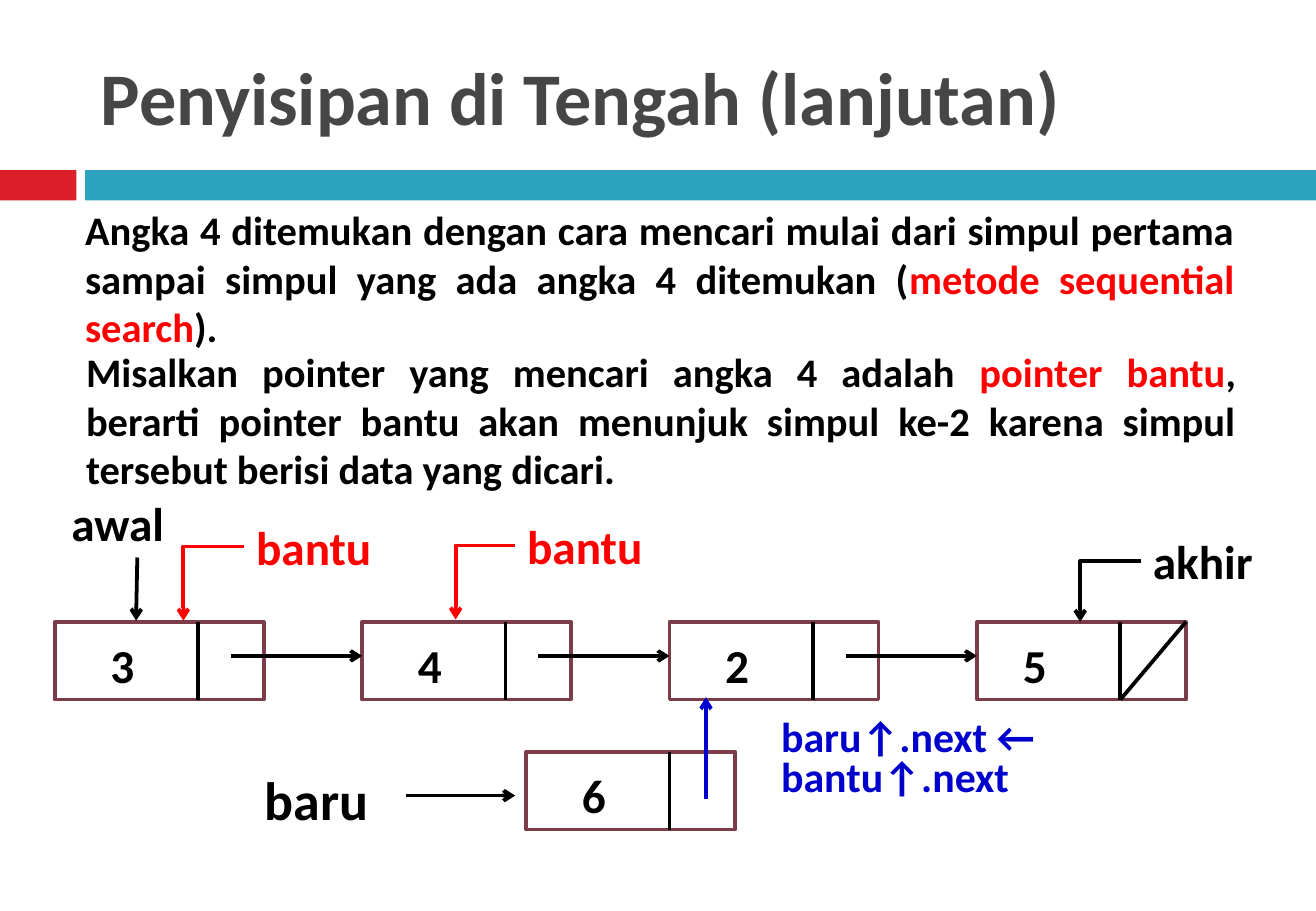
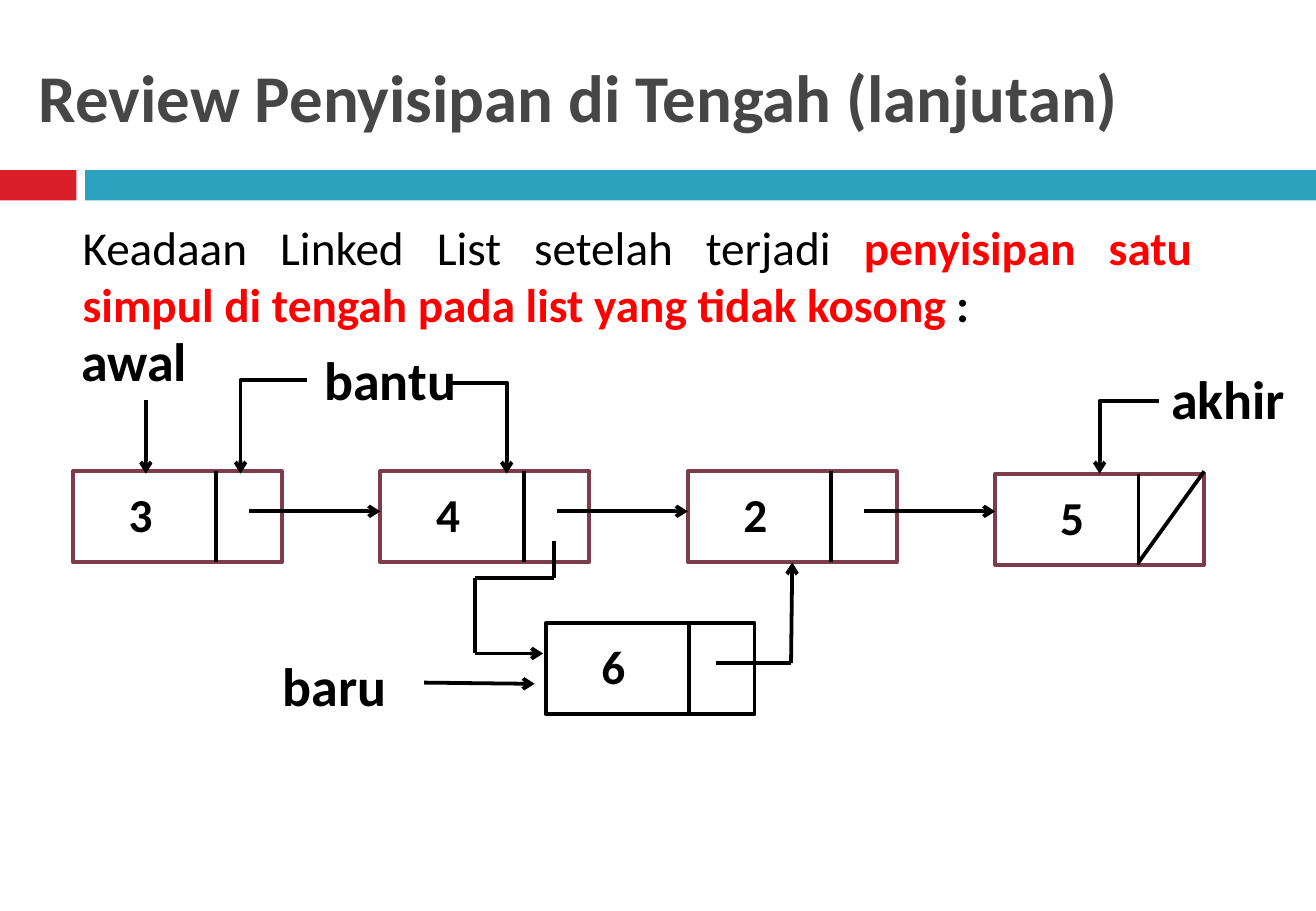
from itertools import pairwise
from pptx import Presentation, util as u
from pptx.dml.color import RGBColor
from pptx.enum import shapes, text
from pptx.oxml import parse_xml
from pptx.oxml.ns import nsdecls, qn

color = RGBColor.from_string
LEFT, RIGHT, JUSTIFY = text.PP_ALIGN.LEFT, text.PP_ALIGN.RIGHT, text.PP_ALIGN.JUSTIFY
BLACK, RED, BLUE, PLUM, GRAY = "000000", "FF0000", "0000CC", "7D3C4A", "464646"
CELL = u.Inches(1)
WIDTH, HEIGHT = 10.83, 7.5
PITCH, NODE_WIDTH, DIVIDER = 2.53, 1.72, 1.18


def write(box, place, runs, size, align=LEFT, before=0, spacing=None):
    box.left, box.top, box.width, box.height = [round(n * CELL) for n in place]
    frame = box.text_frame
    frame.word_wrap = True
    frame.auto_size = text.MSO_AUTO_SIZE.NONE
    para = frame.paragraphs[0]
    para.alignment = align
    para.space_before = u.Pt(before)
    if spacing:
        para.line_spacing = spacing
    for wording, tint, bold in runs:
        span = para.add_run()
        span.text = wording
        span.font.name = "Calibri"
        span.font.size = u.Pt(size)
        span.font.bold = bold
        span.font.color.rgb = color(tint)


def link(page, points, tint=BLACK, arrow=True, elbow=False):
    kind = shapes.MSO_CONNECTOR.ELBOW if elbow else shapes.MSO_CONNECTOR.STRAIGHT
    for start, end in pairwise(points):
        ends = [round(n * CELL) for n in (*start, *end)]
        connector = page.shapes.add_connector(kind, *ends)
        connector.line.width = u.Pt(2.25)
        connector.line.color.rgb = color(tint)
        outline = connector.element.spPr
        if elbow:
            outline.find(qn("a:prstGeom")).set("prst", "bentConnector2")
        if arrow and end == points[-1]:
            outline.find(qn("a:ln")).append(
                parse_xml(f'<a:tailEnd {nsdecls("a")} type="arrow"/>'))
        outline.append(parse_xml(f'<a:effectLst {nsdecls("a")}/>'))


lessons = [
    {
        "title": ("Penyisipan di Tengah (lanjutan)", 0.73, 44),
        "body": ((0.6, 1.64, 9.66, 1.33), 24, 7, [
            ("Angka 4 ditemukan dengan cara mencari mulai dari simpul pertama sampai "
             "simpul yang ada angka 4 ditemukan (", BLACK, True),
            ("metode sequential search", RED, True),
            (").", BLACK, True)]),
        "list": (0.45, 5.12, 0.64, 0.28),
        "last": (0.28, 0, LEFT),
        "new": (4.33, 6.19, PLUM),
        "labels": [
            ("awal", 0.49, 4.02, 28, BLACK),
            ("bantu", 2.01, 4.22, 28, RED),
            ("bantu", 4.24, 4.21, 28, RED),
            ("akhir", 9.39, 4.33, 28, BLACK),
            ("baru", 2.08, 6.26, 32, BLACK)],
        "elbows": [
            ((2.01, 4.5), (1.51, 5.11), RED),
            ((4.24, 4.49), (3.75, 5.1), RED),
            ((9.39, 4.62), (8.89, 5.12), BLACK)],
        "routes": [
            ([(1.13, 4.59), (1.12, 5.11)], BLACK),
            ([(3.34, 6.55), (4.24, 6.55)], BLACK),
            ([(5.81, 6.58), (5.81, 5.74)], BLUE)],
        "notes": [
            ((0.61, 2.81, 9.66, 1.08), [
                ("Misalkan pointer yang mencari angka 4 adalah ", BLACK, True),
                ("pointer bantu", RED, True),
                (", berarti pointer bantu akan menunjuk simpul ke-2 karena simpul "
                 "tersebut berisi data yang dicari.", BLACK, True)], 24, JUSTIFY, 7),
            ((6.33, 5.88, 4.17, 0.58), [
                ("baru↑.next ← bantu↑.next", BLUE, True)], 24.8, LEFT, 7, 0.8)],
    },
    {
        "title": ("Review Penyisipan di Tengah (lanjutan)", 0.22, 39.6),
        "body": ((0.58, 1.75, 9.33, 0.75), 28, 0, [
            ("Keadaan Linked List setelah terjadi ", BLACK, False),
            ("penyisipan satu simpul di tengah pada list yang tidak kosong ", RED, True),
            (":", BLACK, True)]),
        "list": (0.6, 3.88, 0.75, 0.33),
        "last": (0.2, 0.02, RIGHT),
        "new": (4.49, 5.13, BLACK),
        "labels": [
            ("awal", 0.57, 2.65, 32, BLACK),
            ("bantu", 2.57, 2.8, 32, BLACK),
            ("akhir", 9.54, 2.96, 32, BLACK),
            ("baru", 2.23, 5.32, 32, BLACK)],
        "elbows": [
            ((2.53, 3.13), (1.98, 3.9), BLACK),
            ((3.7, 3.15), (4.17, 3.9), BLACK),
            ((9.54, 3.3), (9.05, 3.9), BLACK)],
        "routes": [
            ([(1.2, 3.29), (1.2, 3.9)], BLACK),
            ([(3.49, 5.62), (4.4, 5.63)], BLACK),
            ([(4.56, 4.45), (4.56, 4.76), (3.91, 4.76), (3.91, 5.38), (4.47, 5.38)], BLACK),
            ([(5.89, 5.46), (6.51, 5.46), (6.52, 4.63)], BLACK)],
        "notes": [],
    },
]

deck = Presentation()
deck.slide_width, deck.slide_height = round(WIDTH * CELL), round(HEIGHT * CELL)
layout = deck.slide_layouts[1]

for number, lesson in enumerate(lessons):
    page = deck.slides.add_slide(layout)
    if number == 0:
        for left, width, tint in [(0, 0.63, "DA1F28"), (0.7, WIDTH - 0.7, "2DA2BF")]:
            band = page.shapes.add_shape(
                shapes.MSO_SHAPE.RECTANGLE,
                *[round(n * CELL) for n in (left, 1.4, width, 0.25)])
            band.shadow.inherit = False
            band.fill.solid()
            band.fill.fore_color.rgb = color(tint)
            band.line.fill.background()
            layout.shapes.element.append(band.element)

    heading, left, size = lesson["title"]
    write(page.shapes.title, (left, 0.25, 9.66, 1.08), [(heading, GRAY, True)], size)
    page.shapes.title.text_frame.vertical_anchor = text.MSO_ANCHOR.MIDDLE

    place, size, before, runs = lesson["body"]
    body = page.placeholders[1]
    write(body, place, runs, size, JUSTIFY, before)
    for para in body.element.iter(qn("a:p")):
        format = para.get_or_add_pPr()
        format.set("marL", "0")
        format.set("indent", "0")
        format.append(parse_xml(f'<a:buNone {nsdecls("a")}/>'))

    first, top, height, arrow_drop = lesson["list"]
    shift, drop, align = lesson["last"]
    nodes = [(digit, first + column * PITCH, top, PLUM, 0.36, LEFT)
             for column, digit in enumerate("342")]
    last_left = first + 3 * PITCH
    nodes.append(("5", last_left, top + drop, PLUM, shift, align))
    new_left, new_top, new_tint = lesson["new"]
    nodes.append(("6", new_left, new_top, new_tint, 0.36, LEFT))

    for digit, left, node_top, tint, shift, align in nodes:
        node = page.shapes.add_shape(
            shapes.MSO_SHAPE.RECTANGLE,
            *[round(n * CELL) for n in (left, node_top, NODE_WIDTH, height)])
        node.shadow.inherit = False
        node.fill.solid()
        node.fill.fore_color.rgb = color("FFFFFF")
        node.line.color.rgb = color(tint)
        node.line.width = u.Pt(2.25)
        split = left + DIVIDER
        link(page, [(split, node_top), (split, node_top + height)], arrow=False)
        write(page.shapes.add_textbox(0, 0, 0, 0),
              (left + shift, node_top + 0.07, 0.63, 0.57),
              [(digit, BLACK, True)], 28, align)

    link(page, [(last_left + NODE_WIDTH, top), (last_left + DIVIDER, top + height)],
         arrow=False)
    for column in range(3):
        left = first + column * PITCH
        link(page, [(left + 1.45, top + arrow_drop), (left + PITCH, top + arrow_drop)])

    for wording, left, label_top, size, tint in lesson["labels"]:
        write(page.shapes.add_textbox(0, 0, 0, 0),
              (left, label_top, 1.44 if wording == "bantu" else 1.26, size / 50),
              [(wording, tint, True)], size)
    for note in lesson["notes"]:
        write(page.shapes.add_textbox(0, 0, 0, 0), *note)
    for start, end, tint in lesson["elbows"]:
        link(page, [start, end], tint, elbow=True)
    for points, tint in lesson["routes"]:
        link(page, points, tint)

deck.save("out.pptx")
